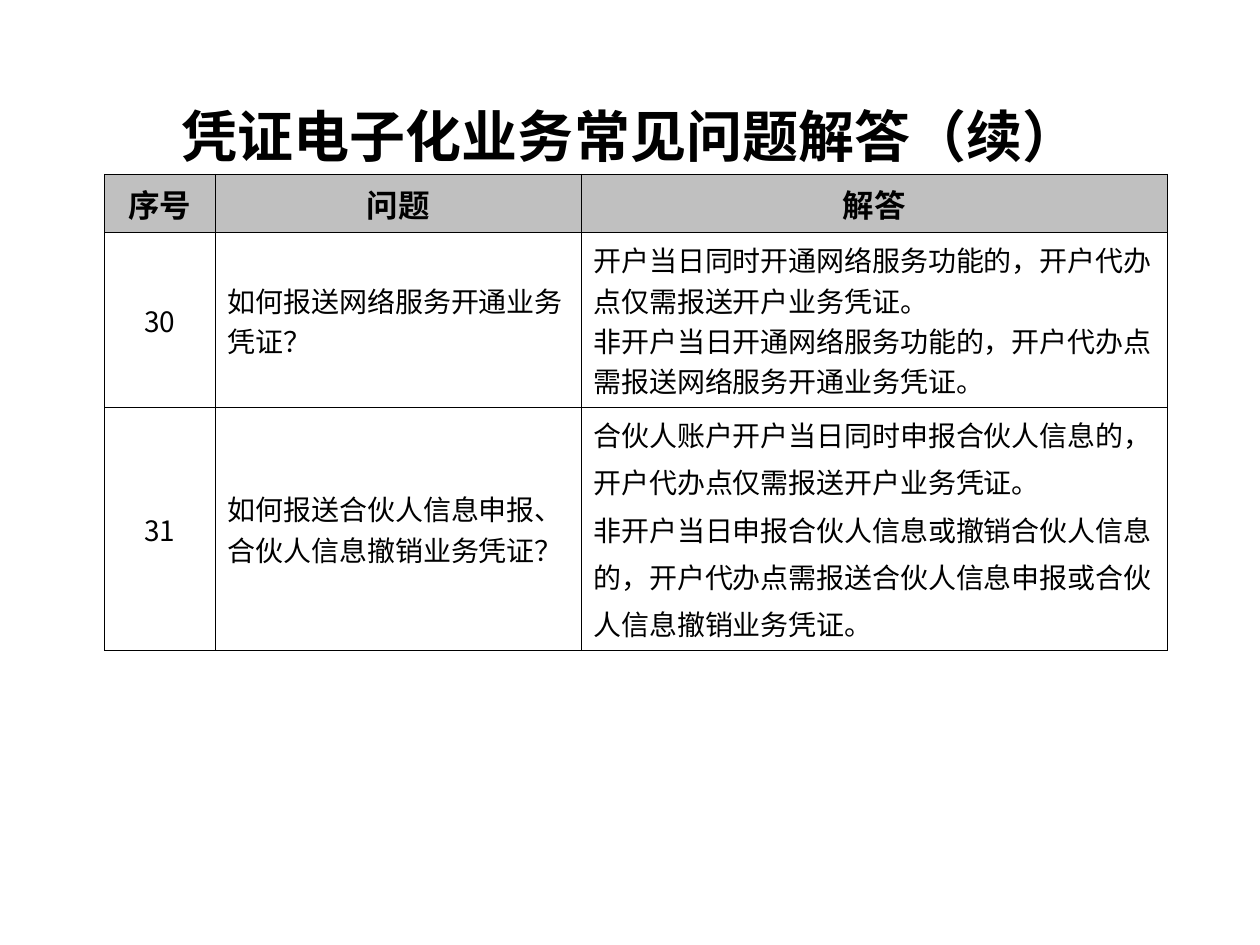
"""Build the slide with the continued FAQ table on electronic vouchers."""
from lxml import etree
from pptx import Presentation
from pptx.dml.color import RGBColor
from pptx.enum.text import MSO_ANCHOR as Anchor, MSO_AUTO_SIZE as AutoSize, PP_ALIGN as Align
from pptx.oxml.ns import qn
from pptx.util import Cm, Pt

BLACK = RGBColor(0x00, 0x00, 0x00)
HEADER_GREY = RGBColor(0xC0, 0xC0, 0xC0)

HEADINGS = ["序号", "问题", "解答"]
FAQS = [
    ("30",
     ["如何报送网络服务开通业务", "凭证？"],
     ["开户当日同时开通网络服务功能的，开户代办",
      "点仅需报送开户业务凭证。",
      "非开户当日开通网络服务功能的，开户代办点",
      "需报送网络服务开通业务凭证。"], 0),
    ("31",
     ["如何报送合伙人信息申报、", "合伙人信息撤销业务凭证？"],
     ["合伙人账户开户当日同时申报合伙人信息的，",
      "开户代办点仅需报送开户业务凭证。",
      "非开户当日申报合伙人信息或撤销合伙人信息",
      "的，开户代办点需报送合伙人信息申报或合伙",
      "人信息撤销业务凭证。"], 4),
]
COLUMN_WIDTHS = [2.23, 7.37, 11.82]
ROW_HEIGHTS = [2.39, 1.18, 3.53, 4.88]


def write(frame, lines, size=16, font="Arial", bold=False, align=Align.LEFT, gap=0):
    for index, line in enumerate(lines):
        paragraph = frame.add_paragraph() if index else frame.paragraphs[0]
        paragraph.alignment = align
        paragraph.space_before = Pt(gap if index else 0)
        run = paragraph.add_run()
        run.text = line
        run.font.size = Pt(size)
        run.font.name = font
        run.font.bold = bold
        run.font.color.rgb = BLACK


def draw_borders(cell, visible):
    properties = cell._tc.get_or_add_tcPr()
    for side in ("L", "R", "T", "B"):
        border = etree.SubElement(properties, qn(f"a:ln{side}"), w=str(Pt(0.45)))
        if side in visible:
            fill = etree.SubElement(border, qn("a:solidFill"))
            etree.SubElement(fill, qn("a:srgbClr"), val=str(BLACK))
        else:
            etree.SubElement(border, qn("a:noFill"))


deck = Presentation()
deck.slide_width, deck.slide_height = Cm(25.4), Cm(19.05)
slide = deck.slides.add_slide(deck.slide_layouts[5])

title = slide.shapes.title
title.left, title.top, title.width, title.height = Cm(2.69), Cm(2.13), Cm(20.04), Cm(1.19)
title.text_frame.auto_size = AutoSize.NONE
title.text_frame.vertical_anchor = Anchor.MIDDLE
write(title.text_frame, ["凭证电子化业务常见问题解答（续）"], size=32, bold=True, align=Align.CENTER)

faq = slide.shapes.add_table(len(ROW_HEIGHTS), len(COLUMN_WIDTHS), Cm(2.11), Cm(1.12),
                             Cm(sum(COLUMN_WIDTHS)), Cm(sum(ROW_HEIGHTS))).table
faq.first_row = faq.horz_banding = False
for column, width in zip(faq.columns, COLUMN_WIDTHS):
    column.width = Cm(width)
for row, height in zip(faq.rows, ROW_HEIGHTS):
    row.height = Cm(height)

for row_index, row in enumerate(faq.rows):
    for cell in row.cells:
        draw_borders(cell, "LRTB" if row_index else "B")
        cell.vertical_anchor = Anchor.MIDDLE
        if row_index == 1:
            cell.fill.solid()
            cell.fill.fore_color.rgb = HEADER_GREY
        else:
            cell.fill.background()
faq.cell(0, 0).merge(faq.cell(0, len(COLUMN_WIDTHS) - 1))

for column_index, heading in enumerate(HEADINGS):
    write(faq.cell(1, column_index).text_frame, [heading], size=18,
          font="Times New Roman", bold=True, align=Align.CENTER)

for row_index, (number, question, answer, gap) in enumerate(FAQS, start=2):
    write(faq.cell(row_index, 0).text_frame, [number], font="Noto Sans CJK SC", align=Align.CENTER)
    write(faq.cell(row_index, 1).text_frame, question)
    write(faq.cell(row_index, 2).text_frame, answer, gap=gap)

deck.save("out.pptx")
